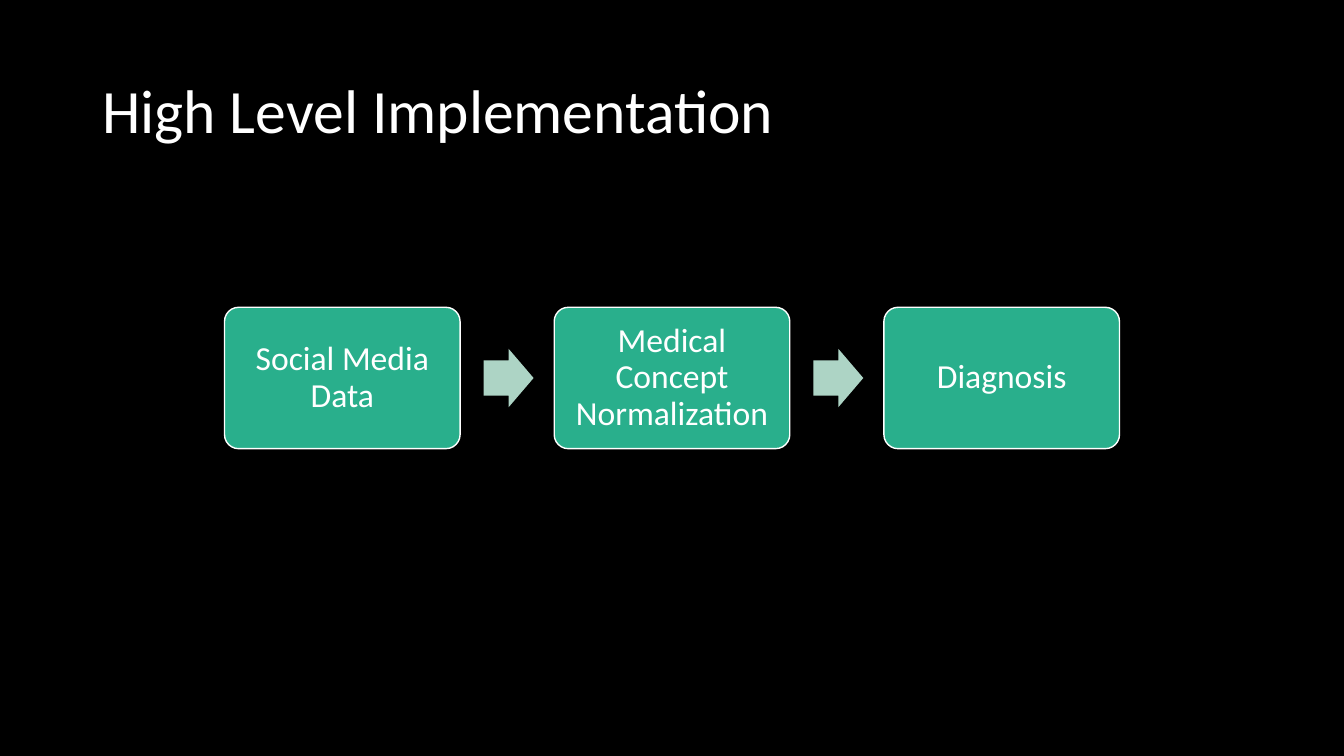
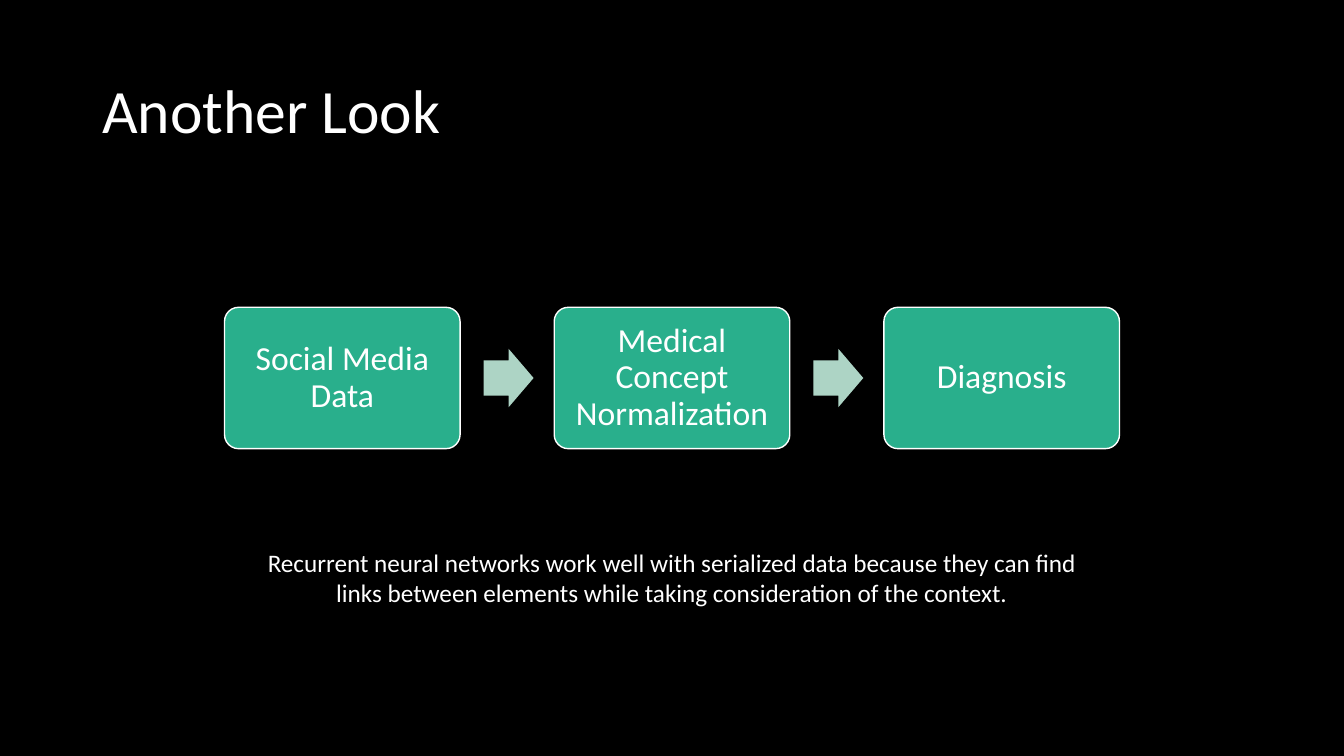
from pptx import Presentation
from pptx.dml.color import RGBColor
from pptx.enum import shapes as sh, text as tx
from pptx.util import Pt

COLORS = {"back": "000000", "text": "FFFFFF", "step": "29AF8C", "arrow": "ADD4C5"}
STEPS = ["Social Media Data", "Medical Concept Normalization", "Diagnosis"]
FONT = "Calibri"
WIDTH, HEIGHT = 960, 540


def rgb(name):
    return RGBColor.from_string(COLORS[name])


def write(tf, text, size=18, color="text", align=tx.PP_ALIGN.LEFT,
          anchor=tx.MSO_ANCHOR.TOP, spacing=1.0, inset=(7.2, 3.6)):
    """Put one formatted paragraph into a text frame."""
    tf.word_wrap = True
    tf.vertical_anchor = anchor
    tf.margin_left = tf.margin_right = Pt(inset[0])
    tf.margin_top = tf.margin_bottom = Pt(inset[1])
    p = tf.paragraphs[0]
    p.alignment, p.line_spacing = align, spacing
    r = p.add_run()
    r.text = text
    r.font.name, r.font.size = FONT, Pt(size)
    r.font.color.rgb = rgb(color)


class Deck:
    def __init__(self):
        self.prs = Presentation()
        self.prs.slide_width, self.prs.slide_height = Pt(WIDTH), Pt(HEIGHT)
        self.s = None

    def slide(self, title):
        self.s = self.prs.slides.add_slide(self.prs.slide_layouts[6])
        fill = self.s.background.fill
        fill.solid()
        fill.fore_color.rgb = rgb("back")
        self.text(title, 66, 28.75, 828, 104.4, size=44,
                  anchor=tx.MSO_ANCHOR.MIDDLE, spacing=0.9)

    def text(self, text, x, y, w, h, **style):
        sp = self.s.shapes.add_textbox(Pt(x), Pt(y), Pt(w), Pt(h))
        write(sp.text_frame, text, **style)

    def shape(self, kind, x, y, w, h, fill, adjust, line=None):
        sp = self.s.shapes.add_shape(kind, Pt(x), Pt(y), Pt(w), Pt(h))
        sp.shadow.inherit = False
        for i, value in enumerate(adjust):
            sp.adjustments[i] = value
        sp.fill.solid()
        sp.fill.fore_color.rgb = rgb(fill)
        if line:
            sp.line.color.rgb = rgb(line)
            sp.line.width = Pt(1)
        else:
            sp.line.fill.background()
        return sp

    def process(self, steps, w=168.3, h=101, pitch=235.5):
        """Row of boxes centred on the slide, with an arrow in each gap."""
        arrow_w, arrow_h, arrow_gap = 35.7, 41.75, 16.8
        left = (WIDTH - w - pitch * (len(steps) - 1)) / 2
        for i, step in enumerate(steps):
            x = left + i * pitch
            if i:
                self.shape(sh.MSO_SHAPE.RIGHT_ARROW, x - pitch + w + arrow_gap,
                           (HEIGHT - arrow_h) / 2, arrow_w, arrow_h,
                           "arrow", (0.6, 0.5))
            sp = self.shape(sh.MSO_SHAPE.ROUNDED_RECTANGLE, x, (HEIGHT - h) / 2,
                            w, h, "step", (0.1,), line="text")
            write(sp.text_frame, step, size=24, align=tx.PP_ALIGN.CENTER,
                  anchor=tx.MSO_ANCHOR.MIDDLE, spacing=0.9, inset=(7.2, 7.2))


def main():
    deck = Deck()

    # Process overview
    deck.slide("High Level Implementation")
    deck.process(STEPS)

    # Process with explanation
    deck.slide("Another Look")
    deck.process(STEPS)
    deck.text("Recurrent neural networks work well with serialized data because "
              "they can find links between elements while taking consideration "
              "of the context.", 170, 387.5, 620, 51, align=tx.PP_ALIGN.CENTER)

    deck.prs.save("out.pptx")


if __name__ == "__main__":
    main()
